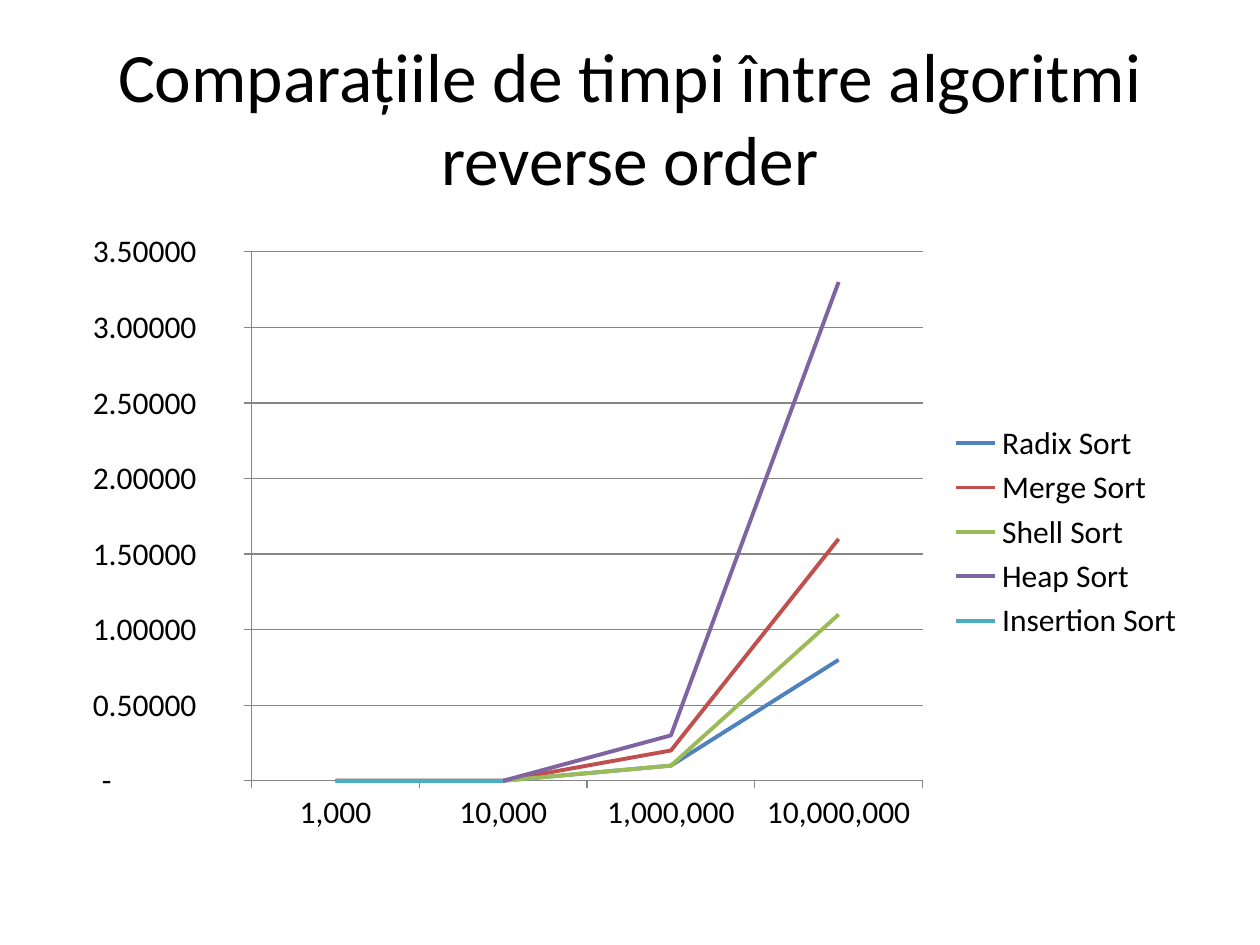
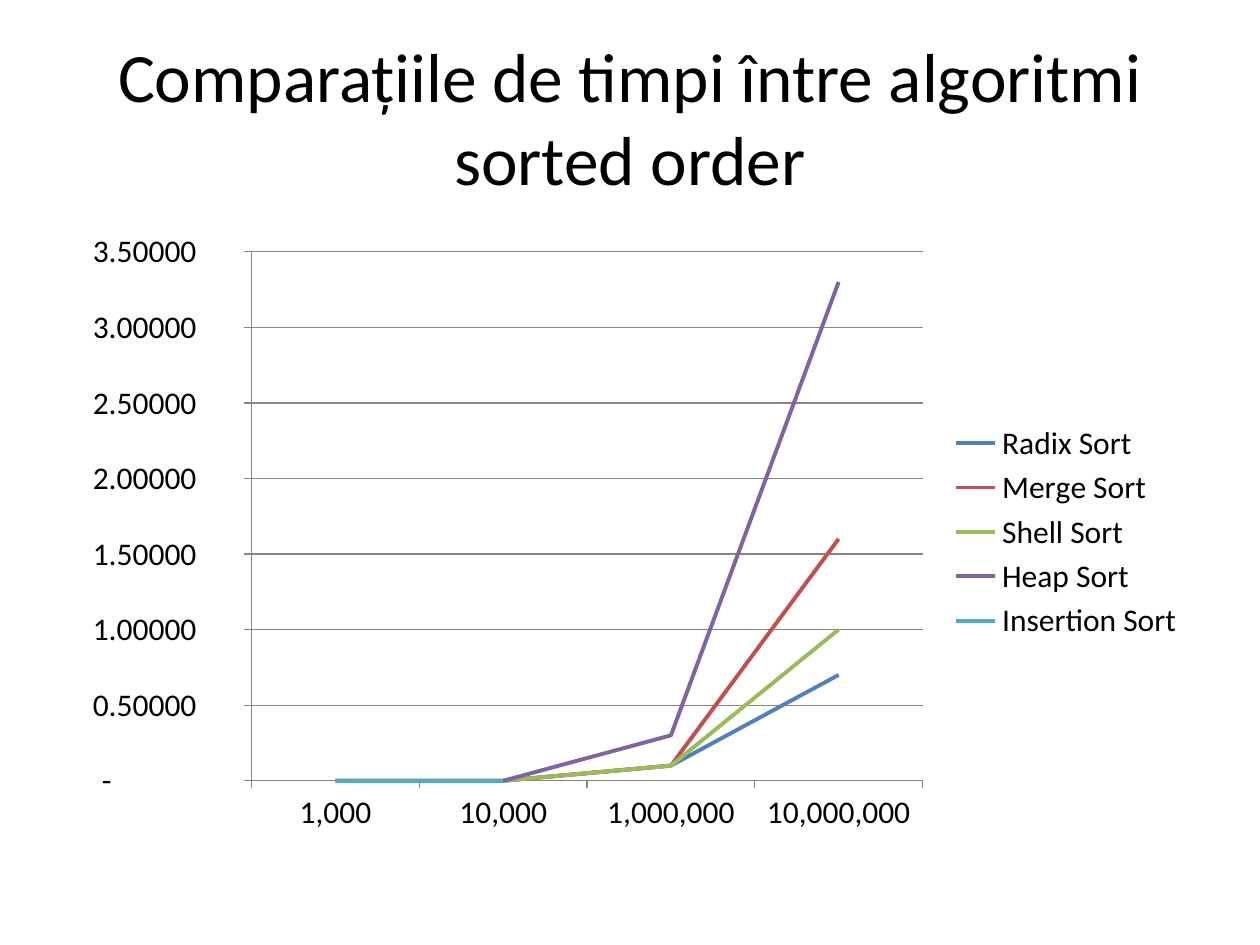
from dataclasses import dataclass

from pptx import Presentation
from pptx import util as u
from pptx.chart.data import CategoryChartData
from pptx.dml.color import RGBColor
from pptx.enum import chart as charts, text

HEADING = "Comparațiile de timpi între algoritmi"
SIZES = [1000, 10000, 1000000, 10000000]
ALGORITHMS = ["Radix Sort", "Merge Sort", "Shell Sort", "Heap Sort", "Insertion Sort"]
ORDERS = {
    "reverse order": [
        (0, 0, 0.1, 0.8),
        (0, 0, 0.2, 1.6),
        (0, 0, 0.1, 1.1),
        (0, 0, 0.3, 3.3),
        (0, 0, None, None),
    ],
    "sorted order": [
        (0, 0, 0.1, 0.7),
        (0, 0, 0.1, 1.6),
        (0, 0, 0.1, 1),
        (0, 0, 0.3, 3.3),
        (0, 0, None, None),
    ],
}
SIZE_FORMAT = "#,##0"
TIME_FORMAT = (r'_-* #,##0.00000\ _l_e_i_-;\-* #,##0.00000\ _l_e_i_-;'
               r'_-* "-"?????\ _l_e_i_-;_-@_-')


@dataclass(frozen=True)
class Theme:
    font: str = "Calibri"
    ink: str = "000000"
    background: str = "FFFFFF"
    axis: str = "868686"
    lines: tuple = ("4F81BD", "C0504D", "9BBB59", "8064A2", "4BACC6")
    heading_size: float = 39.6
    chart_size: float = 18
    line_width: float = 2.25
    axis_width: float = 0.75


THEME = Theme()
WIDTH, HEIGHT, MARGIN = u.Cm(25.4), u.Cm(19.05), u.Cm(1.27)
CONTENT_WIDTH = WIDTH - 2 * MARGIN
HEADING_TOP, HEADING_HEIGHT = u.Cm(0.76), u.Cm(3.18)
CHART_TOP, CHART_HEIGHT = u.Cm(4.44), u.Cm(12.57)


def style_font(font, size, color=THEME.ink):
    font.name = THEME.font
    font.size = u.Pt(size)
    font.color.rgb = RGBColor.from_string(color)


def style_line(line, color, width):
    line.color.rgb = RGBColor.from_string(color)
    line.width = u.Pt(width)


def add_text(slide, words, *, left, top, width, height, size,
             align=text.PP_ALIGN.CENTER, anchor=text.MSO_ANCHOR.MIDDLE):
    frame = slide.shapes.add_textbox(left, top, width, height).text_frame
    frame.word_wrap = True
    frame.vertical_anchor = anchor
    paragraph = frame.paragraphs[0]
    paragraph.text = words
    paragraph.alignment = align
    for run in paragraph.runs:
        style_font(run.font, size)


def style_axis(axis, number_format):
    axis.major_tick_mark = charts.XL_TICK_MARK.OUTSIDE
    axis.minor_tick_mark = charts.XL_TICK_MARK.NONE
    axis.tick_labels.number_format = number_format
    axis.tick_labels.number_format_is_linked = False
    style_line(axis.format.line, THEME.axis, THEME.axis_width)


def add_timings(slide, timings):
    data = CategoryChartData(number_format=TIME_FORMAT)
    data.categories = SIZES
    data.categories.number_format = SIZE_FORMAT
    for algorithm, times in zip(ALGORITHMS, timings):
        data.add_series(algorithm, times)
    chart = slide.shapes.add_chart(
        charts.XL_CHART_TYPE.LINE, MARGIN, CHART_TOP,
        CONTENT_WIDTH, CHART_HEIGHT, data).chart
    style_font(chart.font, THEME.chart_size)
    chart.has_title = False
    chart.has_legend = True
    chart.legend.position = charts.XL_LEGEND_POSITION.RIGHT
    chart.legend.include_in_layout = False
    chart.plots[0].vary_by_categories = False

    style_axis(chart.category_axis, SIZE_FORMAT)
    time_axis = chart.value_axis
    style_axis(time_axis, TIME_FORMAT)
    time_axis.minimum_scale, time_axis.maximum_scale = 0, 3.5
    time_axis.major_unit = 0.5
    time_axis.has_major_gridlines = True
    style_line(time_axis.major_gridlines.format.line, THEME.axis, THEME.axis_width)

    for series, color in zip(chart.plots[0].series, THEME.lines):
        series.smooth = False
        style_line(series.format.line, color, THEME.line_width)


deck = Presentation()
deck.slide_width, deck.slide_height = WIDTH, HEIGHT
backdrop = deck.slide_master.background.fill
backdrop.solid()
backdrop.fore_color.rgb = RGBColor.from_string(THEME.background)

for order, timings in ORDERS.items():
    slide = deck.slides.add_slide(deck.slide_layouts[6])
    add_text(slide, f"{HEADING}\v{order}", left=MARGIN, top=HEADING_TOP,
             width=CONTENT_WIDTH, height=HEADING_HEIGHT, size=THEME.heading_size)
    add_timings(slide, timings)

deck.save("out.pptx")
